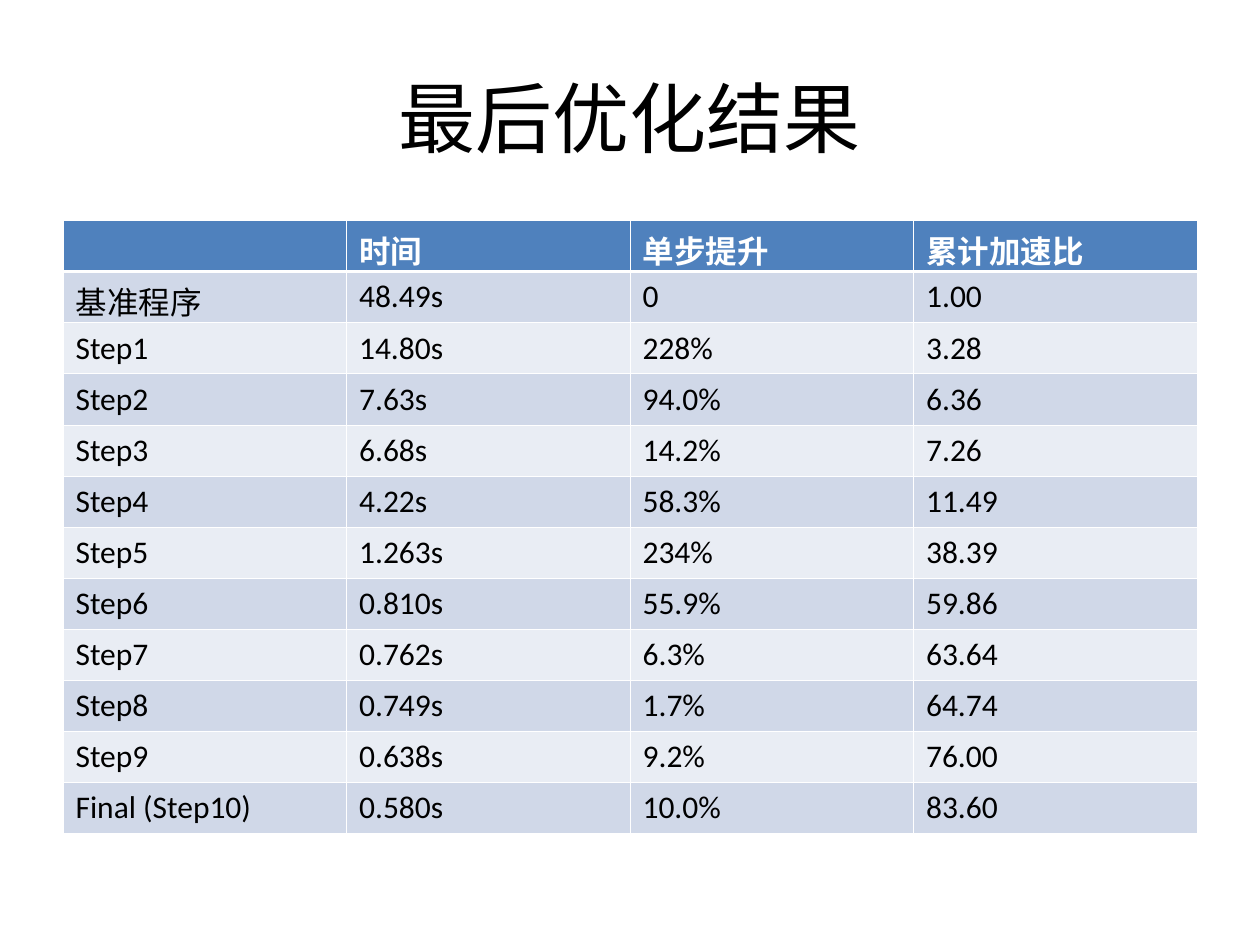
"""Build a slide with a table of step-by-step optimisation results."""
from lxml.etree import SubElement
from pptx import Presentation
from pptx.dml.color import RGBColor
from pptx.enum.text import MSO_ANCHOR as Anchor, PP_ALIGN as Align
from pptx.oxml.ns import qn
from pptx.util import Inches, Pt

RESULTS = [
    ("", "时间", "单步提升", "累计加速比"),
    ("基准程序", "48.49s", "0", "1.00"),
    ("Step1", "14.80s", "228%", "3.28"),
    ("Step2", "7.63s", "94.0%", "6.36"),
    ("Step3", "6.68s", "14.2%", "7.26"),
    ("Step4", "4.22s", "58.3%", "11.49"),
    ("Step5", "1.263s", "234%", "38.39"),
    ("Step6", "0.810s", "55.9%", "59.86"),
    ("Step7", "0.762s", "6.3%", "63.64"),
    ("Step8", "0.749s", "1.7%", "64.74"),
    ("Step9", "0.638s", "9.2%", "76.00"),
    ("Final (Step10)", "0.580s", "10.0%", "83.60"),
]


def color(value):
    """Turn a hex string into a colour."""
    return RGBColor.from_string(value)


class ResultPage:
    """Hold the style and the current slide."""

    font = "Calibri"
    ink = "000000"
    paper = "FFFFFF"
    header = "4F81BD"
    bands = ("E9EDF4", "D0D8E8")
    thin, thick = 0.45, 1.47

    def __init__(self, page):
        """Keep the slide to draw on."""
        self.page = page

    def add_text(self, para, text, size, ink, bold=False):
        """Add one styled run to a paragraph."""
        span = para.add_run()
        span.text = text
        span.font.name = self.font
        span.font.size = Pt(size)
        span.font.bold = bold
        span.font.color.rgb = color(ink)

    def title(self, text, left, top, width, height):
        """Add the centred title."""
        box = self.page.shapes.add_textbox(
            Inches(left), Inches(top), Inches(width), Inches(height))
        frame = box.text_frame
        frame.word_wrap = True
        frame.vertical_anchor = Anchor.MIDDLE
        para = frame.paragraphs[0]
        para.alignment = Align.CENTER
        self.add_text(para, text, 44, self.ink)

    def border(self, cell, side, width):
        """Draw one side of a cell's border."""
        properties = cell._tc.get_or_add_tcPr()
        line = SubElement(properties, qn(f"a:ln{side}"), w=str(Pt(width)))
        fill = SubElement(line, qn("a:solidFill"))
        SubElement(fill, qn("a:srgbClr"), val=self.paper)

    def cell(self, cell, text, row):
        """Style and fill one table cell according to its row."""
        is_header = row == 0
        widths = {
            "L": self.thin,
            "R": self.thin,
            "T": self.thick if row == 1 else self.thin,
            "B": self.thick if is_header else self.thin,
        }
        for side, width in widths.items():
            self.border(cell, side, width)
        cell.fill.solid()
        cell.fill.fore_color.rgb = color(
            self.header if is_header else self.bands[row % 2])
        if text:
            self.add_text(cell.text_frame.paragraphs[0], text, 18,
                          self.paper if is_header else self.ink, is_header)

    def table(self, rows, left, top, width, height):
        """Add a banded table with equal rows and columns."""
        table = self.page.shapes.add_table(
            len(rows), len(rows[0]), Inches(left), Inches(top),
            Inches(width), Inches(height)).table
        for row, values in enumerate(rows):
            for column, text in enumerate(values):
                self.cell(table.cell(row, column), text, row)


def main():
    """Build and save the deck."""
    deck = Presentation()
    deck.slide_width, deck.slide_height = Inches(10), Inches(7.5)
    page = ResultPage(deck.slides.add_slide(deck.slide_layouts[6]))
    page.title("最后优化结果", 0.5, 0.3, 9, 1.25)
    page.table(RESULTS, 0.5, 1.75, 9, 4.87)
    deck.save("out.pptx")


if __name__ == "__main__":
    main()
